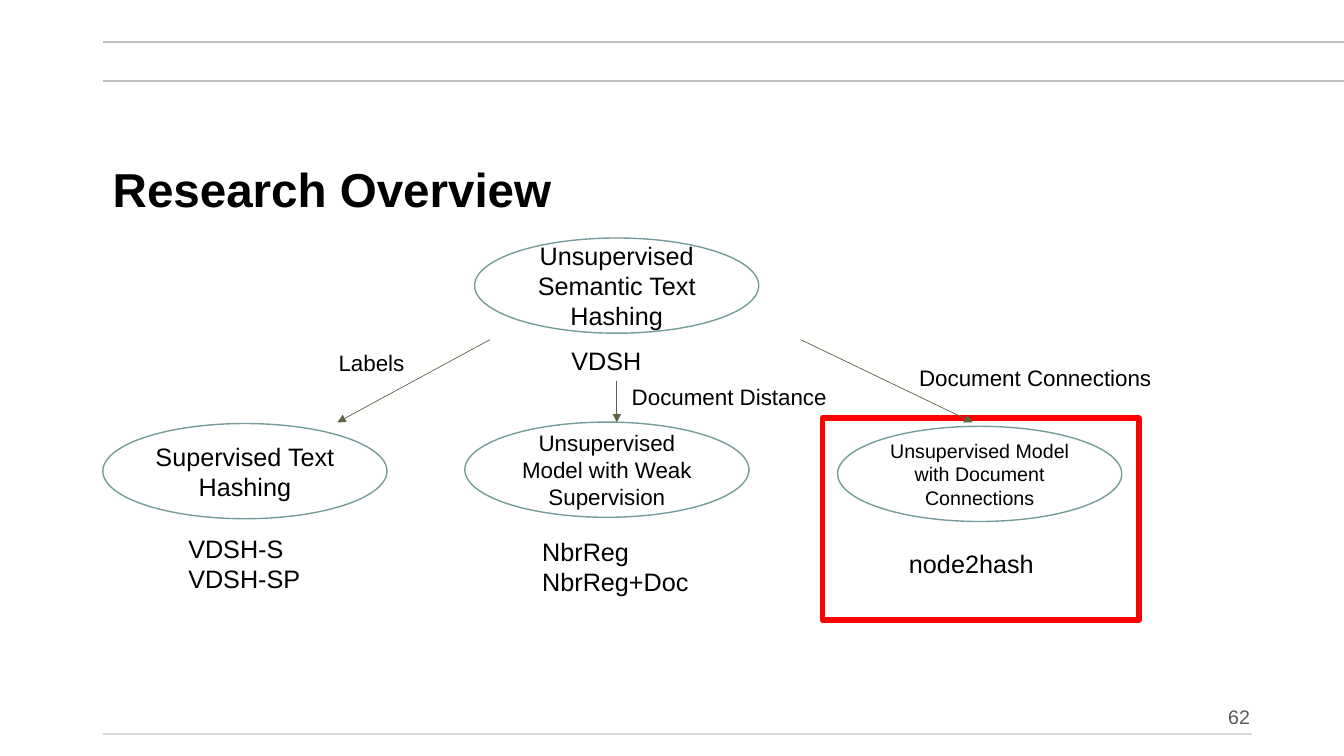
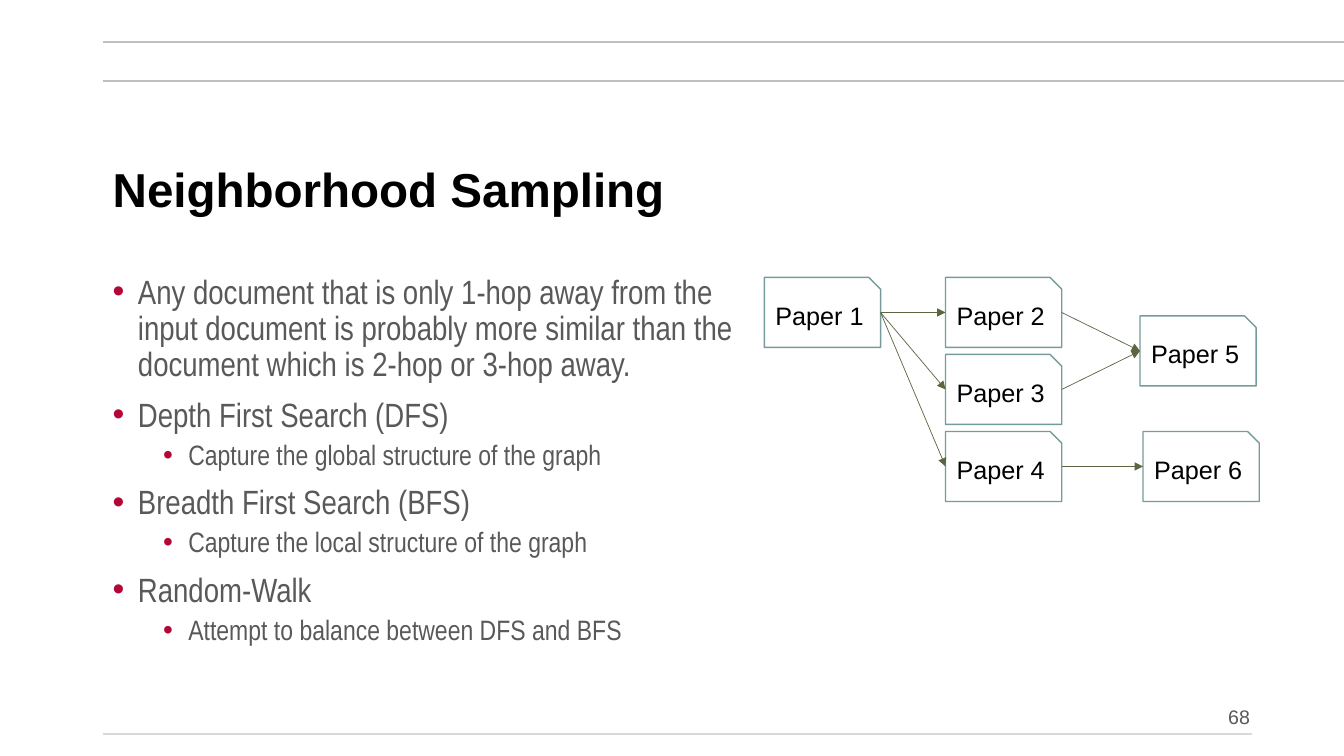
from lxml import etree
from pptx import Presentation
from pptx.dml.color import RGBColor
from pptx.enum.shapes import MSO_CONNECTOR, MSO_SHAPE
from pptx.enum.text import MSO_ANCHOR, PP_ALIGN
from pptx.oxml.ns import qn
from pptx.util import Pt

STRAIGHT = MSO_CONNECTOR.STRAIGHT
RECT, OVAL, SNIP = MSO_SHAPE.RECTANGLE, MSO_SHAPE.OVAL, MSO_SHAPE.SNIP_1_RECTANGLE
TOP, MIDDLE, BOTTOM = MSO_ANCHOR.TOP, MSO_ANCHOR.MIDDLE, MSO_ANCHOR.BOTTOM
LEFT, CENTER, RIGHT = PP_ALIGN.LEFT, PP_ALIGN.CENTER, PP_ALIGN.RIGHT

SLIDE_W, SLIDE_H = 960, 540
MARGIN = 73.44
BLACK, WHITE, GREY, RED = "000000", "FFFFFF", "595959", "FF0000"
BULLET, TEAL, OLIVE = "B30738", "759C9A", "596641"
RULE, FOOT_RULE = "BFBFBF", "D9D9D9"
OVAL_W, OVAL_H = 203, 68
PAPER_W, PAPER_H = 83, 50


def rgb(value):
    """Turn a hex string into a colour."""
    return RGBColor.from_string(value)


def write(p, text, size=18, font="Arial", color=BLACK, bold=False, align=LEFT, spacing=None):
    """Put one formatted run into a paragraph."""
    p.alignment = align
    if spacing:
        p.line_spacing = spacing
    r = p.add_run()
    r.text = text
    r.font.size = Pt(size)
    r.font.name = font
    r.font.bold = bold
    r.font.color.rgb = rgb(color)


def add_text(s, x, y, w, h, lines, anchor=TOP, wrap=False, **fmt):
    """Add a text box with one paragraph per line."""
    tf = s.shapes.add_textbox(Pt(x), Pt(y), Pt(w), Pt(h)).text_frame
    tf.word_wrap = wrap
    tf.vertical_anchor = anchor
    for i, line in enumerate(lines):
        write(tf.add_paragraph() if i else tf.paragraphs[0], line, **fmt)


def add_box(s, kind, x, y, w, h, text="", line=TEAL, weight=1, size=18):
    """Add a white outlined shape with centred text."""
    sp = s.shapes.add_shape(kind, Pt(x), Pt(y), Pt(w), Pt(h))
    sp.shadow.inherit = False
    sp.fill.solid()
    sp.fill.fore_color.rgb = rgb(WHITE)
    sp.line.color.rgb = rgb(line)
    sp.line.width = Pt(weight)
    if text:
        sp.text_frame.word_wrap = True
        sp.text_frame.vertical_anchor = MIDDLE
        write(sp.text_frame.paragraphs[0], text, size=size, align=CENTER)


def add_line(s, x1, y1, x2, y2, color=OLIVE, weight=0.5, arrow=False):
    """Add a straight line, with an arrowhead at its end if asked."""
    cx = s.shapes.add_connector(STRAIGHT, Pt(x1), Pt(y1), Pt(x2), Pt(y2))
    cx.line.color.rgb = rgb(color)
    cx.line.width = Pt(weight)
    if arrow:
        etree.SubElement(cx.line._get_or_add_ln(), qn("a:tailEnd"), type="triangle")
    etree.SubElement(cx._element.spPr, qn("a:effectLst"))


def add_bullets(s, x, y, w, h, items):
    """Add a two-level bulleted list from (level, text) pairs."""
    tf = s.shapes.add_textbox(Pt(x), Pt(y), Pt(w), Pt(h)).text_frame
    tf.word_wrap = True
    for i, (level, text) in enumerate(items):
        p = tf.add_paragraph() if i else tf.paragraphs[0]
        p.level = level
        pPr = p._p.get_or_add_pPr()
        pPr.set("marL", str(Pt(18 + 36 * level)))
        pPr.set("indent", str(Pt(-18)))
        etree.SubElement(etree.SubElement(pPr, qn("a:buClr")), qn("a:srgbClr"), val=BULLET)
        etree.SubElement(pPr, qn("a:buFont"), typeface="Arial")
        etree.SubElement(pPr, qn("a:buChar"), char="•")
        if i:
            p.space_before = Pt(5 if level else 10)
        write(p, text, size=20 if level else 24, font="Arial Narrow", color=GREY, spacing=0.9)


def add_slide(prs, title, number):
    """Add a blank slide with rules, title and page number."""
    s = prs.slides.add_slide(prs.slide_layouts[6])
    for y, right, color in [(57.6, SLIDE_W, RULE), (30.24, SLIDE_W, RULE), (524.16, 894.24, FOOT_RULE)]:
        add_line(s, MARGIN, y, right, y, color, 1.5)
    add_text(s, MARGIN, 92.16, 820, 90, [title], anchor=MIDDLE, wrap=True,
             size=34, bold=True, spacing=0.9)
    add_text(s, 594.7, 492.5, 305.3, 31.7, [number], anchor=BOTTOM, wrap=True,
             size=14, color=GREY, align=RIGHT, spacing=0.9)
    return s


def research_overview(prs):
    """Build the tree of hashing models."""
    s = add_slide(prs, "Research Overview", "62")
    add_box(s, RECT, 587.5, 298.8, 226, 144, line=RED, weight=4)
    for x, y, text, size in [
        (339, 170, "Unsupervised Semantic Text Hashing", 18),
        (MARGIN, 302.5, "Supervised Text Hashing", 18),
        (332, 301.5, "Unsupervised Model with Weak Supervision", 16),
        (598.3, 304.5, "Unsupervised Model with Document Connections", 14),
    ]:
        add_box(s, OVAL, x, y, OVAL_W, OVAL_H, text, size=size)
    for x, y, w, h, lines in [
        (127.4, 377.5, 95, 51, ["VDSH-S", "VDSH-SP"]),
        (380.2, 379.2, 120, 51, ["NbrReg", "NbrReg+Doc"]),
        (642.2, 388.3, 104.4, 29, ["node2hash"]),
        (401, 242.8, 65, 29, ["VDSH"]),
    ]:
        add_text(s, x, y, w, h, lines)
    for x1, y1, x2, label, x, y, w in [
        (440.6, 272.2, 440.6, "Document Distance", 444.2, 270, 155.5),
        (571.9, 242.6, 694.8, "Document Connections", 649.4, 256.6, 182),
        (350, 242.6, 241, "Labels", 234.7, 245.5, 62),
    ]:
        add_line(s, x1, y1, x2, 301.7, arrow=True)
        add_text(s, x, y, w, 26.6, [label], size=16)


def neighborhood_sampling(prs):
    """Build the sampling list and the paper graph."""
    s = add_slide(prs, "Neighborhood Sampling", "68")
    add_bullets(s, MARGIN, 193, 466.6, 299.5, [
        (0, "Any document that is only 1-hop away from the input document is probably "
            "more similar than the document which is 2-hop or 3-hop away."),
        (0, "Depth First Search (DFS)"),
        (1, "Capture the global structure of the graph"),
        (0, "Breadth First Search (BFS)"),
        (1, "Capture the local structure of the graph"),
        (0, "Random-Walk"),
        (1, "Attempt to balance between DFS and BFS"),
    ])
    top, step = 198.2, 55
    papers = {
        1: (546, top),
        2: (675.4, top),
        3: (675.4, top + step),
        4: (675.4, top + 2 * step),
        5: (814.3, top + step / 2),
        6: (816.5, top + 2 * step),
    }
    for number, (x, y) in papers.items():
        add_box(s, SNIP, x, y, PAPER_W, PAPER_H, f"Paper {number}")
    for start, end in [(1, 2), (1, 3), (1, 4), (2, 5), (3, 5), (4, 6)]:
        (x1, y1), (x2, y2) = papers[start], papers[end]
        add_line(s, x1 + PAPER_W, y1 + PAPER_H / 2, x2, y2 + PAPER_H / 2, arrow=True)


def main():
    """Build and save the presentation."""
    prs = Presentation()
    prs.slide_width, prs.slide_height = Pt(SLIDE_W), Pt(SLIDE_H)
    research_overview(prs)
    neighborhood_sampling(prs)
    prs.save("out.pptx")


if __name__ == "__main__":
    main()
